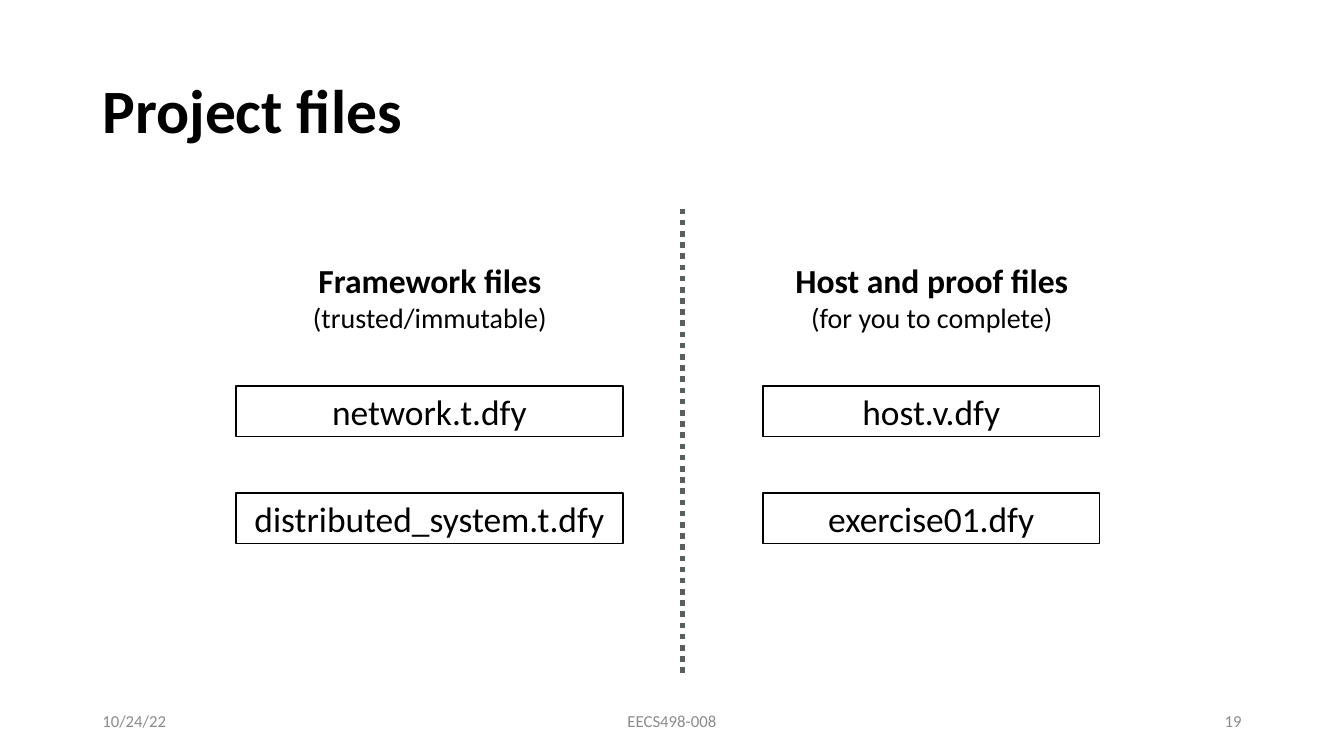
from lxml.etree import SubElement
from pptx import Presentation
from pptx.dml.color import RGBColor
from pptx.enum.dml import MSO_LINE
from pptx.enum.shapes import MSO_CONNECTOR, MSO_SHAPE
from pptx.enum.text import MSO_ANCHOR, PP_ALIGN
from pptx.oxml.ns import qn
from pptx.util import Pt

COLORS = {"text": "000000", "footer": "8C8C8C", "divider": "5A5F5E"}


def rgb(name):
    return RGBColor.from_string(COLORS[name])


def add_line(tf, text, size=24, bold=False, color="text", font="Calibri",
             align=PP_ALIGN.CENTER, spacing=1.0, first=True):
    p = tf.paragraphs[0] if first else tf.add_paragraph()
    p.alignment = align
    p.line_spacing = spacing
    r = p.add_run()
    r.text = text
    r.font.name = font
    r.font.size = Pt(size)
    r.font.bold = bold
    r.font.color.rgb = rgb(color)


class Deck:
    inset = 2.8
    file_size = 25.3

    def __init__(self, prs):
        self.s = prs.slides.add_slide(prs.slide_layouts[6])

    def frame(self, sp, inset_x, inset_y):
        tf = sp.text_frame
        tf.word_wrap = True
        tf.vertical_anchor = MSO_ANCHOR.MIDDLE
        tf.margin_left = tf.margin_right = Pt(inset_x)
        tf.margin_top = tf.margin_bottom = Pt(inset_y)
        return tf

    def text(self, x, y, w, h, text, **fmt):
        sp = self.s.shapes.add_textbox(Pt(x), Pt(y), Pt(w), Pt(h))
        add_line(self.frame(sp, 7.2, 3.6), text, **fmt)

    def heading(self, x, y, w, h, title, note):
        sp = self.s.shapes.add_textbox(Pt(x), Pt(y), Pt(w), Pt(h))
        tf = self.frame(sp, self.inset, self.inset)
        add_line(tf, title, bold=True)
        add_line(tf, note, size=20, first=False)

    def file_box(self, x, y, w, h, name):
        sp = self.s.shapes.add_shape(MSO_SHAPE.RECTANGLE, Pt(x), Pt(y), Pt(w), Pt(h))
        sp.shadow.inherit = False
        sp.fill.background()
        sp.line.color.rgb = rgb("text")
        sp.line.width = Pt(1)
        add_line(self.frame(sp, self.inset, self.inset), name, size=self.file_size)

    def divider(self, x, top, bottom):
        ln = self.s.shapes.add_connector(MSO_CONNECTOR.STRAIGHT, Pt(x), Pt(top), Pt(x), Pt(bottom))
        ln.line.color.rgb = rgb("divider")
        ln.line.width = Pt(4)
        ln.line.dash_style = MSO_LINE.ROUND_DOT
        SubElement(ln._element.spPr, qn("a:effectLst"))


def main():
    prs = Presentation()
    prs.slide_width, prs.slide_height = Pt(960), Pt(540)
    deck = Deck(prs)

    deck.text(66, 28.8, 828, 104.4, "Project files", size=44, bold=True,
              align=PP_ALIGN.LEFT, spacing=0.9)

    columns = [
        (160.6, 168.5, 276.5, "Framework files", "(trusted/immutable)",
         ["network.t.dfy", "distributed_system.t.dfy"]),
        (519.1, 545, 240.5, "Host and proof files", "(for you to complete)",
         ["host.v.dfy", "exercise01.dfy"]),
    ]
    for head_x, box_x, box_w, title, note, files in columns:
        deck.heading(head_x, 182.9, 293, 59, title, note)
        for i, name in enumerate(files):
            deck.file_box(box_x, 275.8 + i * 76.5, box_w, 36, name)

    deck.divider(487.4, 149, 481.7)

    footers = [
        (66, 216, "10/24/22", PP_ALIGN.LEFT),
        (318, 324, "EECS498-008", PP_ALIGN.CENTER),
        (678, 216, "19", PP_ALIGN.RIGHT),
    ]
    for x, w, text, align in footers:
        deck.text(x, 500.5, w, 28.8, text, size=12, color="footer", align=align)

    prs.save("out.pptx")


if __name__ == "__main__":
    main()
